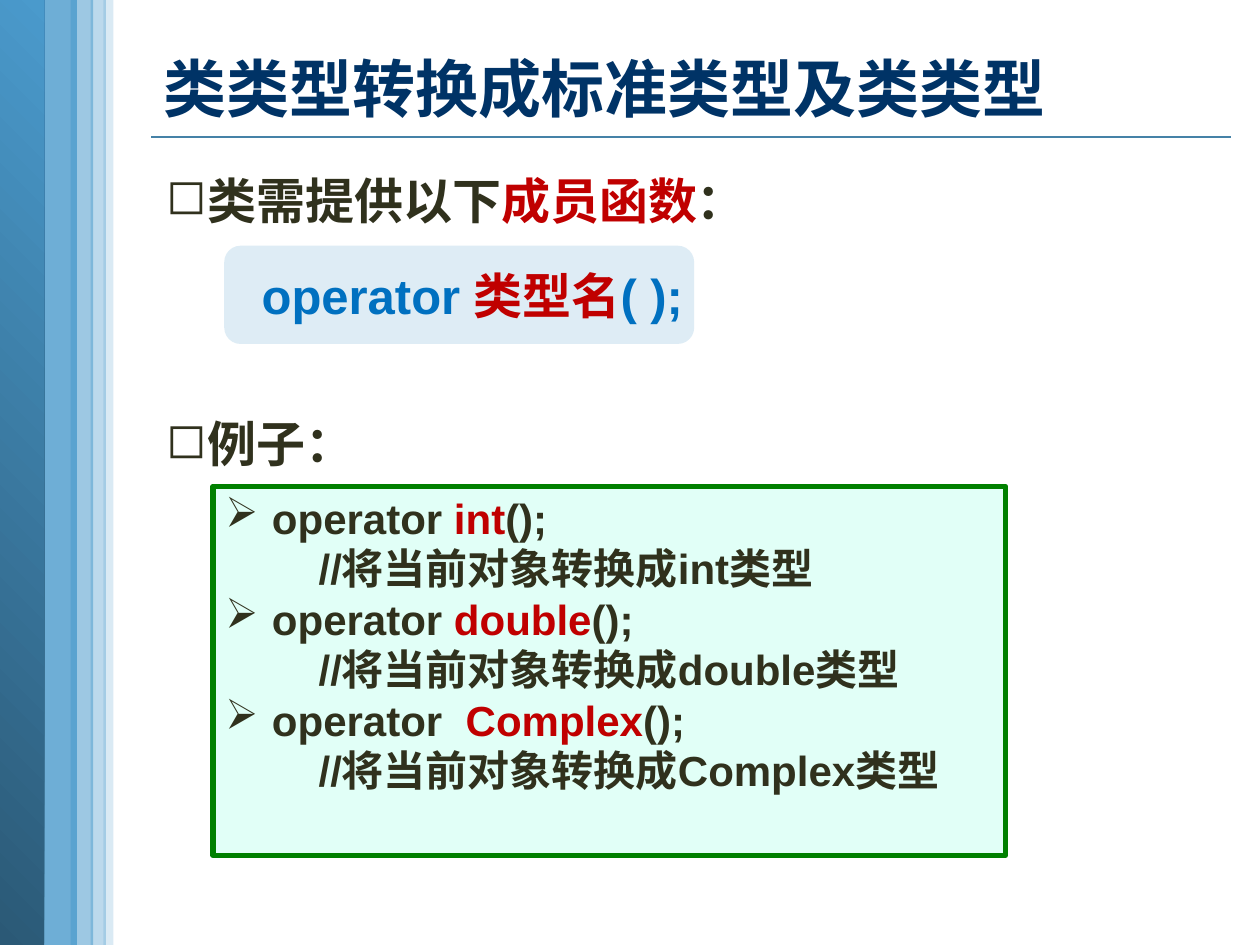
from dataclasses import dataclass

from lxml.etree import SubElement
from pptx import Presentation
from pptx.dml.color import RGBColor
from pptx.enum.shapes import MSO_CONNECTOR, MSO_SHAPE
from pptx.enum.text import MSO_ANCHOR, PP_ALIGN
from pptx.oxml.ns import qn
from pptx.util import Inches, Pt


@dataclass(frozen=True)
class Theme:
    navy: RGBColor = RGBColor.from_string("003366")
    ink: RGBColor = RGBColor.from_string("30311D")
    red: RGBColor = RGBColor.from_string("C00000")
    blue: RGBColor = RGBColor.from_string("0070C0")
    bar: RGBColor = RGBColor.from_string("4A9ACC")
    bar_dark: RGBColor = RGBColor.from_string("2B5976")
    rule: RGBColor = RGBColor.from_string("4582A7")
    syntax_fill: RGBColor = RGBColor.from_string("92C2E0")
    code_fill: RGBColor = RGBColor.from_string("E1FFF7")
    code_line: RGBColor = RGBColor.from_string("008000")
    latin: str = "Arial"
    chinese: str = "Noto Sans CJK SC"
    title_size: Pt = Pt(36)
    body_size: Pt = Pt(28)
    code_size: Pt = Pt(24)


theme = Theme()


def add_block(kind, left, top, width, height, fill=None, opacity=100):
    """Add a shape without shadow or outline, filled if a colour is given."""
    block = slide.shapes.add_shape(
        kind, Inches(left), Inches(top), Inches(width), Inches(height))
    block.shadow.inherit = False
    block.line.fill.background()
    if fill is not None:
        block.fill.solid()
        block.fill.fore_color.rgb = fill
        if opacity < 100:
            color = block.fill._xPr.find(qn("a:solidFill"))[0]
            SubElement(color, qn("a:alpha"), val=str(opacity * 1000))
    return block


def write_paragraph(para, parts, size, color, latin=theme.latin, margin=0, bullet=None):
    """Write (text, colour) parts; a colour of None keeps the paragraph's own."""
    para.alignment = PP_ALIGN.LEFT
    para.font.size, para.font.bold, para.font.name = size, True, latin
    para.font.color.rgb = color
    properties = para._p.get_or_add_pPr()
    SubElement(properties.find(qn("a:defRPr")), qn("a:ea"), typeface=theme.chinese)
    properties.set("marL", str(Inches(margin)))
    if bullet:
        properties.set("indent", str(-Inches(margin)))
        mark = SubElement(properties, qn("a:buChar"), char=bullet)
        properties.find(qn("a:defRPr")).addprevious(mark)
    for text, part_color in parts:
        span = para.add_run()
        span.text = text
        if part_color is not None:
            span.font.color.rgb = part_color


deck = Presentation()
deck.slide_width, deck.slide_height = Inches(10), Inches(7.5)
slide = deck.slides.add_slide(deck.slide_layouts[6])

# Title rule and side bars
rule = slide.shapes.add_connector(
    MSO_CONNECTOR.STRAIGHT, Inches(1.2), Inches(1.09), Inches(9.77), Inches(1.09))
rule.line.color.rgb = theme.rule
rule.line.width = Pt(1)
SubElement(rule._element.spPr, qn("a:effectLst"))

add_block(MSO_SHAPE.RECTANGLE, 0.3, 0, 0.31, 7.5, theme.bar, 80)
edge = add_block(MSO_SHAPE.RECTANGLE, 0, 0, 0.35, 7.5)
edge.fill.gradient()
edge.fill.gradient_angle = 45
for stop, color in zip(edge.fill.gradient_stops, (theme.bar_dark, theme.bar)):
    stop.color.rgb = color
for left, width, opacity in ((0.82, 0.08, 20), (0.56, 0.18, 54), (0.72, 0.12, 37)):
    add_block(MSO_SHAPE.RECTANGLE, left, 0, width, 7.5, theme.bar, opacity)

# Title
title = slide.shapes.add_textbox(Inches(1.2), Inches(0.23), Inches(8.28), Inches(0.78))
title.text_frame.word_wrap = True
title.text_frame.margin_top = Inches(0.16)
write_paragraph(title.text_frame.paragraphs[0], [("类类型转换成标准类型及类类型", None)],
                theme.title_size, theme.navy, latin=theme.chinese)

# Bulleted headings
headings = (
    (1.26, 0.62, [("类需提供以下", None), ("成员函数", theme.red), ("：", None)]),
    (3.19, 0.57, [("例子：", None)]),
)
for top, height, parts in headings:
    heading = slide.shapes.add_textbox(
        Inches(1.22), Inches(top), Inches(8.11), Inches(height))
    heading.text_frame.word_wrap = True
    para = heading.text_frame.paragraphs[0]
    para.line_spacing = 1.1
    write_paragraph(para, parts, theme.body_size, theme.ink, margin=0.33, bullet="◻")

# Syntax of the conversion operator
syntax = add_block(MSO_SHAPE.ROUNDED_RECTANGLE, 1.78, 1.95, 3.73, 0.78, theme.syntax_fill, 30)
frame = syntax.text_frame
frame.word_wrap = False
frame.vertical_anchor = MSO_ANCHOR.MIDDLE
frame.margin_left, frame.margin_right = Inches(0.26), 0
write_paragraph(frame.paragraphs[0],
                [("operator ", None), ("类型名", theme.red), ("( );", None)],
                theme.body_size, theme.blue)

# Code examples: a declaration and its comment for each target type
code = add_block(MSO_SHAPE.RECTANGLE, 1.69, 3.86, 6.29, 2.93, theme.code_fill)
code.line.color.rgb = theme.code_line
code.line.width = Pt(3)
frame = code.text_frame
frame.word_wrap = True
frame.vertical_anchor = MSO_ANCHOR.TOP
for keyword, lead in (("int", "operator "), ("double", "operator "), ("Complex", "operator  ")):
    lines = (
        ([(lead, None), (keyword, theme.red), ("();", None)], 0.37, "➢"),
        ([(f"//将当前对象转换成{keyword}类型", None)], 0.74, None),
    )
    for parts, margin, bullet in lines:
        para = frame.paragraphs[0] if not frame.text else frame.add_paragraph()
        para.line_spacing = Pt(28.8)
        write_paragraph(para, parts, theme.code_size, theme.ink, margin=margin, bullet=bullet)

deck.save("out.pptx")
